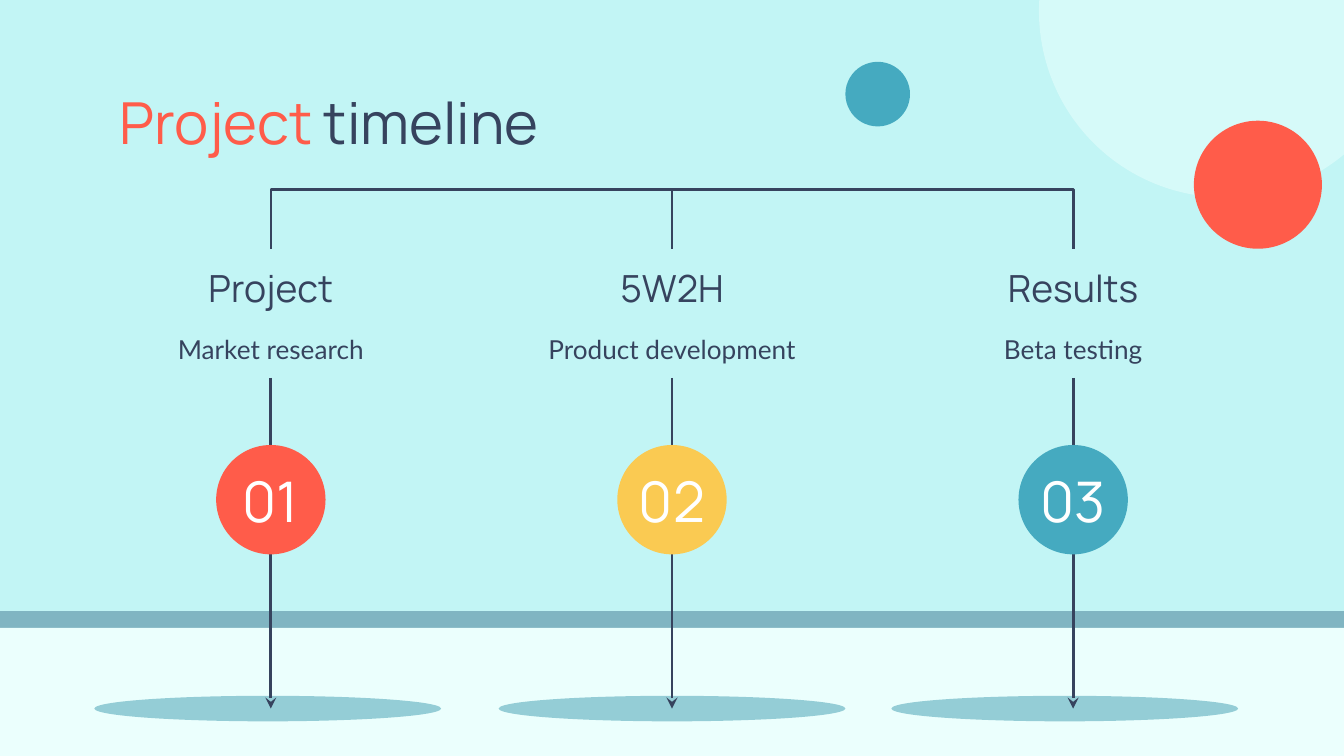
import pptx
import pptx.util
import pptx.oxml
import pptx.oxml.ns
from pptx.dml.color import RGBColor
from pptx.enum.shapes import MSO_CONNECTOR, MSO_SHAPE
from pptx.enum.text import MSO_ANCHOR, PP_ALIGN

Pt = pptx.util.Pt

SKY = RGBColor(0xC2, 0xF5, 0xF5)
MINT = RGBColor(0xEB, 0xFF, 0xFD)
CORAL = RGBColor(0xFF, 0x5C, 0x4A)
TEAL = RGBColor(0x45, 0xAA, 0xC0)
YELLOW = RGBColor(0xFA, 0xCA, 0x52)
NAVY = RGBColor(0x36, 0x43, 0x5E)
HORIZON = RGBColor(0x80, 0xB5, 0xC2)
SHADE = RGBColor(0x94, 0xCD, 0xD6)
WHITE = RGBColor(0xFF, 0xFF, 0xFF)

# Content: number, heading, detail, colour, centre of the floor shade
TITLE = [("Project ", CORAL), ("timeline", NAVY)]
STEPS = [
    ("01", "Project", "Market research", CORAL, 143.4),
    ("02", "5W2H", "Product development", YELLOW, 360),
    ("03", "Results", "Beta testing", TEAL, 570.4),
]

# Layout in points
WIDTH, HEIGHT = 720, 405
MIDDLE, STEP_GAP = 360, 214.9
CENTRES = [MIDDLE + (i - 1) * STEP_GAP for i in range(len(STEPS))]
BRACKET_TOP, BRACKET_FOOT = 105.5, 133.2
STEM_TOP, FLOOR_Y = 202.5, 379.6
BADGE, BADGE_Y = 58.6, 267.7
HORIZON_Y, GROUND_Y = 327.4, 336.4

deck = pptx.Presentation()
deck.slide_width, deck.slide_height = Pt(WIDTH), Pt(HEIGHT)
page = deck.slides.add_slide(deck.slide_layouts[5])
page.background.fill.solid()
page.background.fill.fore_color.rgb = SKY


def add_solid(kind, left, top, width, height, colour):
    shape = page.shapes.add_shape(kind, Pt(left), Pt(top), Pt(width), Pt(height))
    shape.shadow.inherit = False
    shape.fill.solid()
    shape.fill.fore_color.rgb = colour
    shape.line.fill.background()
    return shape


def add_ellipse(centre_x, centre_y, width, height, colour):
    return add_solid(MSO_SHAPE.OVAL, centre_x - width / 2, centre_y - height / 2,
                     width, height, colour)


def add_line(kind, *ends):
    line = page.shapes.add_connector(kind, *[Pt(end) for end in ends])
    line.line.color.rgb = NAVY
    line.line.width = Pt(1.5)
    pptx.oxml.ns.qn("a:effectLst")
    line._element.spPr.append(make_element("a:effectLst"))
    return line


def make_element(tag, **attributes):
    prefix_map = pptx.oxml.ns.nsdecls("a")
    element = pptx.oxml.parse_xml(f"<{tag} {prefix_map}/>")
    for name, value in attributes.items():
        element.set(name, value)
    return element


def set_margins(frame, anchor):
    frame.word_wrap = True
    frame.vertical_anchor = anchor
    frame.margin_left = frame.margin_right = Pt(7.2)
    frame.margin_top = frame.margin_bottom = Pt(7.2)


def add_text(text, centre, top, width, height, font, size, colour, anchor):
    box = page.shapes.add_textbox(Pt(centre - width / 2), Pt(top), Pt(width), Pt(height))
    set_margins(box.text_frame, anchor)
    para = box.text_frame.paragraphs[0]
    para.text = text
    para.alignment = PP_ALIGN.CENTER
    para.font.name, para.font.size = font, Pt(size)
    para.font.color.rgb = colour


def add_bracket(left, right):
    # A quarter turn makes the elbow rise, run across and drop again
    centre, thin = (left + right) / 2, 0.05
    half = (right - left) / 2
    bracket = add_line(MSO_CONNECTOR.ELBOW, centre + thin / 2, BRACKET_FOOT - half,
                       centre - thin / 2, BRACKET_FOOT + half)
    properties = bracket._element.spPr
    properties.find(pptx.oxml.ns.qn("a:xfrm")).set("rot", "16200000")
    bend = round(-(BRACKET_FOOT - BRACKET_TOP) / thin * 100000)
    guides = properties.find(".//" + pptx.oxml.ns.qn("a:avLst"))
    guides.append(make_element("a:gd", name="adj1", fmla=f"val {bend}"))


# Backdrop
halo = add_ellipse(656.3, 6.1, 199.4, 199.4, MINT)
halo_colour = halo._element.spPr.find(".//" + pptx.oxml.ns.qn("a:srgbClr"))
halo_colour.append(make_element("a:alpha", val="50000"))
add_ellipse(673.9, 99, 68.6, 68.6, CORAL)
add_solid(MSO_SHAPE.RECTANGLE, 0, HORIZON_Y, WIDTH, GROUND_Y - HORIZON_Y, HORIZON)
add_solid(MSO_SHAPE.RECTANGLE, 0, GROUND_Y, WIDTH, HEIGHT - GROUND_Y, MINT)

# Title
title = page.shapes.title
title.left, title.top, title.width, title.height = Pt(56.9), Pt(42.5), Pt(607), Pt(44.6)
set_margins(title.text_frame, MSO_ANCHOR.MIDDLE)
para = title.text_frame.paragraphs[0]
para.alignment = PP_ALIGN.LEFT
for text, colour in TITLE:
    span = para.add_run()
    span.text = text
    span.font.name, span.font.size = "Manrope", Pt(31)
    span.font.color.rgb = colour

# Steps
for centre, (number, heading, detail, colour, shade_centre) in zip(CENTRES, STEPS):
    add_ellipse(shade_centre, FLOOR_Y, 185.8, 13.7, SHADE)
    stem = add_line(MSO_CONNECTOR.STRAIGHT, centre, STEM_TOP, centre, FLOOR_Y)
    stem.line._get_or_add_ln().append(make_element("a:tailEnd", type="stealth"))
    add_ellipse(centre, BADGE_Y, BADGE, BADGE, colour)
    add_text(heading, centre, 133.2, 176.4, 41.8, "Manrope", 20, NAVY, MSO_ANCHOR.MIDDLE)
    add_text(detail, centre, 171.4, 176.4, 31, "Lato", 14, NAVY, MSO_ANCHOR.TOP)
    add_text(number, centre, 249.1, 55.4, 37.4, "Manrope", 30, WHITE, MSO_ANCHOR.MIDDLE)

# Bracket over the steps
for left, right in zip(CENTRES, CENTRES[1:]):
    add_bracket(left, right)

add_ellipse(470.2, 50.4, 34.6, 34.6, TEAL)

deck.save("out.pptx")
